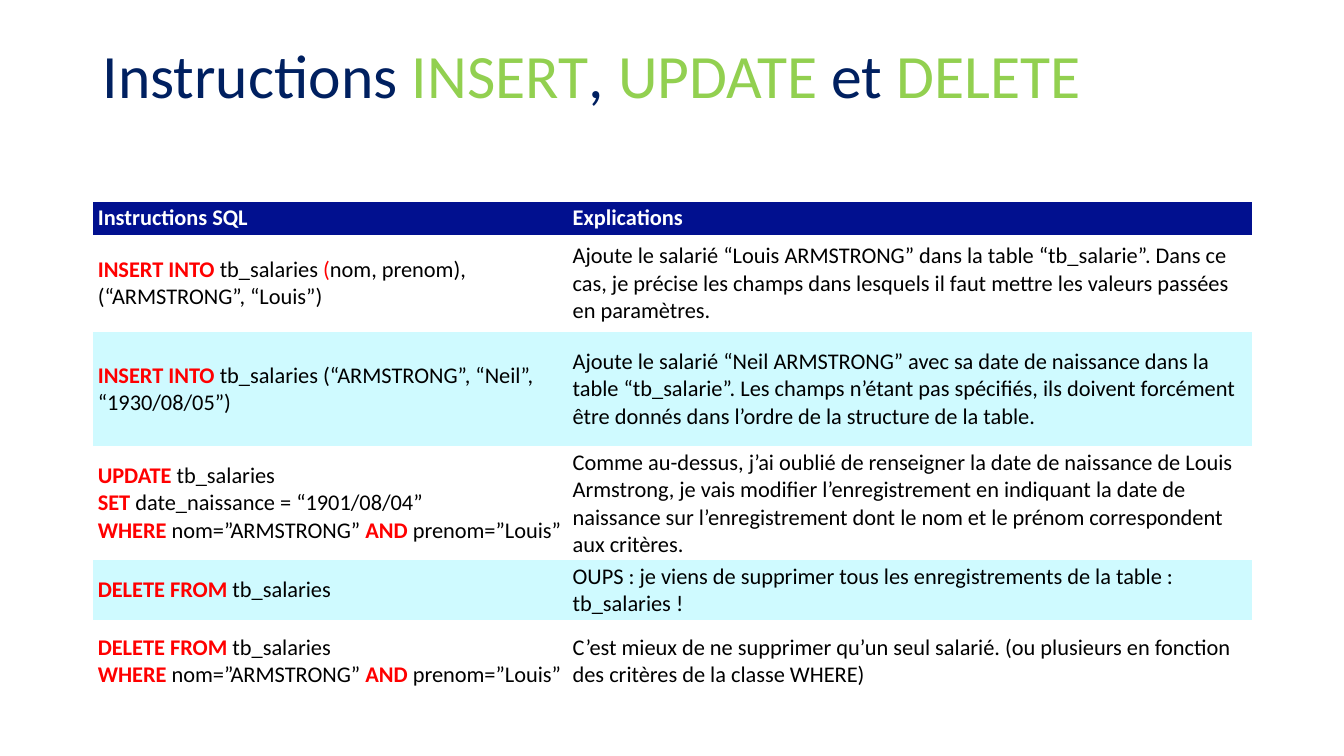
from pptx import Presentation
from pptx.dml.color import RGBColor
from pptx.enum.text import MSO_ANCHOR
from pptx.util import Inches, Pt

TOP, MIDDLE = MSO_ANCHOR.TOP, MSO_ANCHOR.MIDDLE
PLAIN_GRID = "{2D5ABB26-0587-4C30-8999-92F81FD0307C}"
THEME = {
    "font": "Calibri", "title": 44, "body": 16,
    "navy": "002060", "green": "92D050", "head": "01108F",
    "band": "CFFAFF", "red": "FF0000", "black": "000000", "white": "FFFFFF",
}


def color(name):
    return RGBColor.from_string(THEME[name])


def write(para, text, size, base, accent=None, bold=False, strong=False):
    """Parts between asterisks take the accent; a newline breaks the line."""
    for i, part in enumerate(text.split("*")):
        marked = i % 2 == 1
        for j, line in enumerate(part.split("\n")):
            if j:
                para.add_line_break()
            if not line:
                continue
            run = para.add_run()
            run.text = line
            form = {"name": THEME["font"], "size": Pt(THEME[size]),
                    "bold": strong and line.strip() != "(" if marked else bold}
            for key, value in form.items():
                setattr(run.font, key, value)
            run.font.color.rgb = color(accent if marked else base)


deck = Presentation()
deck.slide_width, deck.slide_height = Inches(13.33), Inches(7.5)
slide = deck.slides.add_slide(deck.slide_layouts[6])
left, width = Inches(0.92), Inches(11.5)

# Title
frame = slide.shapes.add_textbox(left, Inches(0.4), width, Inches(1.45)).text_frame
frame.word_wrap = True
frame.vertical_anchor = TOP
frame.paragraphs[0].line_spacing = 0.9
write(frame.paragraphs[0], "Instructions *INSERT*, *UPDATE *et *DELETE*",
      "title", "navy", "green")

# Table content
match = "*WHERE *nom=”ARMSTRONG” *AND *prenom=”Louis”"
rows = [
    (0.2, "Instructions SQL", "Explications"),
    (0.97, "*INSERT INTO *tb_salaries* (*nom, prenom), (“ARMSTRONG”, “Louis”)",
     "Ajoute le salarié “Louis ARMSTRONG” dans la table “tb_salarie”. Dans ce cas, "
     "je précise les champs dans lesquels il faut mettre les valeurs passées en "
     "paramètres."),
    (1.13, "*INSERT INTO *tb_salaries (“ARMSTRONG”, “Neil”, “1930/08/05”)",
     "Ajoute le salarié “Neil ARMSTRONG” avec sa date de naissance dans la table "
     "“tb_salarie”. Les champs n’étant pas spécifiés, ils doivent forcément être "
     "donnés dans l’ordre de la structure de la table."),
    (1.13, "*UPDATE *tb_salaries\n*SET *date_naissance = “1901/08/04”\n" + match,
     "Comme au-dessus, j’ai oublié de renseigner la date de naissance de Louis "
     "Armstrong, je vais modifier l’enregistrement en indiquant la date de naissance "
     "sur l’enregistrement dont le nom et le prénom correspondent aux critères."),
    (0.51, "*DELETE FROM* tb_salaries",
     "OUPS : je viens de supprimer tous les enregistrements de la table : "
     "tb_salaries !"),
    (0.82, "*DELETE FROM *tb_salaries\n" + match,
     "C’est mieux de ne supprimer qu’un seul salarié. (ou plusieurs en fonction des "
     "critères de la classe WHERE)"),
]

# Table
high = sum(row[0] for row in rows)
table = slide.shapes.add_table(len(rows), 2, left, Inches(2), width,
                               Inches(high)).table
table.horz_banding = False
table._tbl.tblPr[0].text = PLAIN_GRID
for col, span in zip(table.columns, (4.71, 6.79)):
    col.width = Inches(span)

inset = {"margin_left": Inches(0.05), "margin_right": Inches(0.05),
         "margin_top": Inches(0.03), "margin_bottom": Inches(0.03),
         "vertical_anchor": MIDDLE}
for r, (tall, *texts) in enumerate(rows):
    table.rows[r].height = Inches(tall)
    for c, text in enumerate(texts):
        cell = table.cell(r, c)
        for key, value in inset.items():
            setattr(cell, key, value)
        if r % 2 and r:
            cell.fill.background()
        else:
            cell.fill.solid()
            cell.fill.fore_color.rgb = color("band" if r else "head")
        write(cell.text_frame.paragraphs[0], text, "body",
              "black" if r else "white", "red", bold=r == 0, strong=True)

deck.save("out.pptx")
